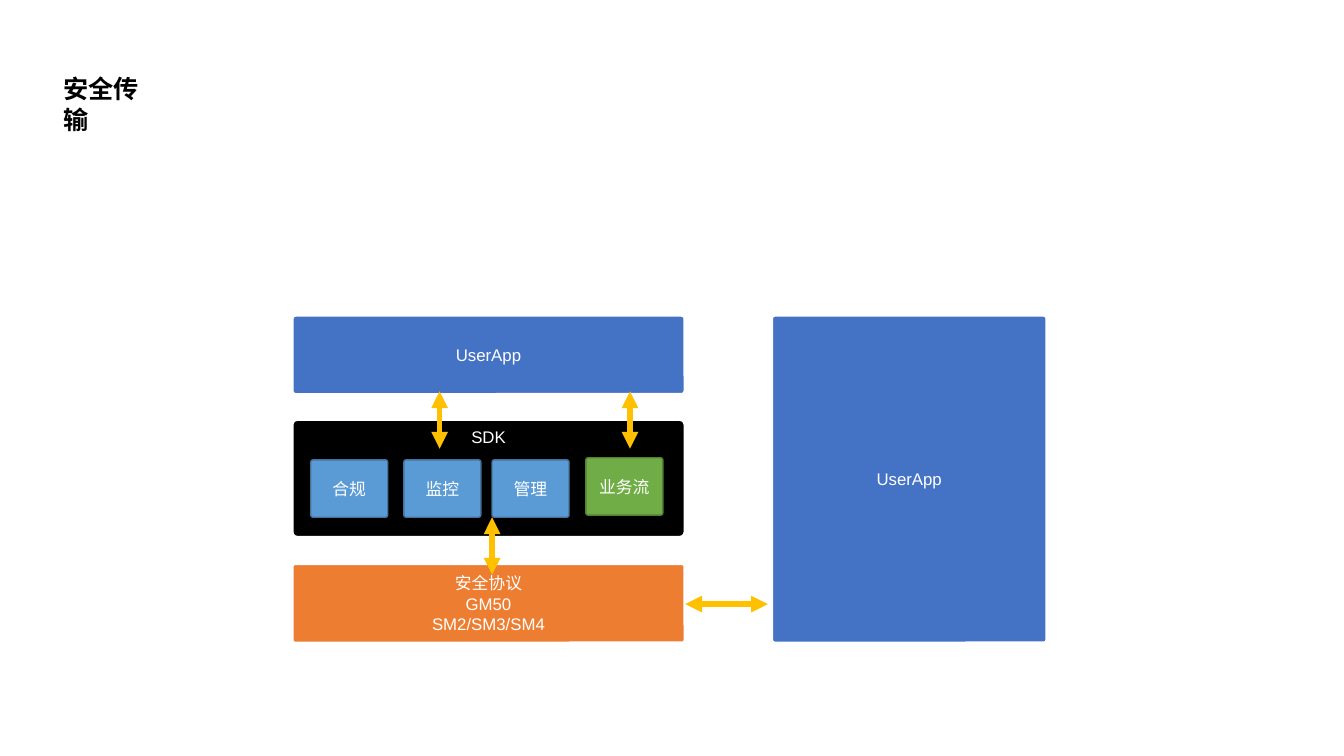
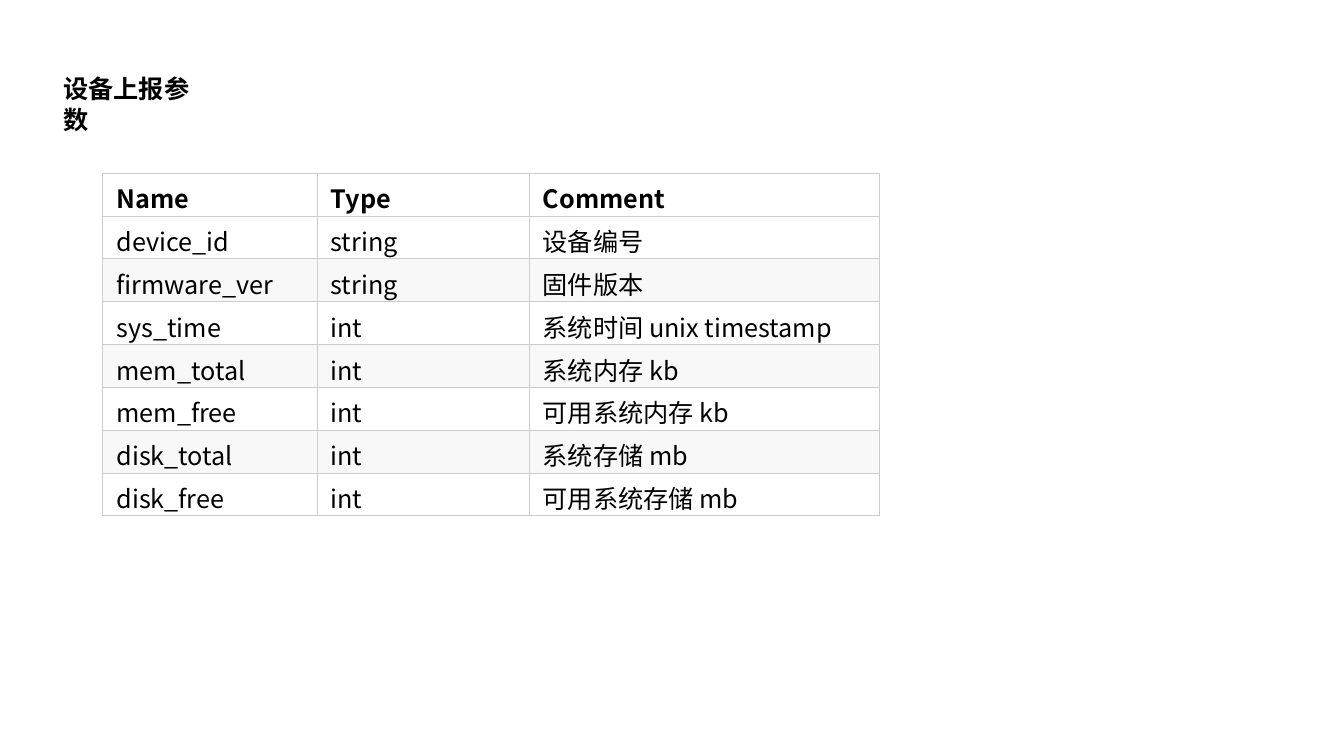
from lxml import etree
from pptx import Presentation
from pptx.dml.color import RGBColor
from pptx.enum.shapes import MSO_CONNECTOR, MSO_SHAPE
from pptx.enum.text import MSO_ANCHOR, MSO_AUTO_SIZE, PP_ALIGN
from pptx.oxml import parse_xml
from pptx.oxml.ns import nsdecls, qn
from pptx.util import Pt

ROUNDED = MSO_SHAPE.ROUNDED_RECTANGLE
STRAIGHT = MSO_CONNECTOR.STRAIGHT
TOP, MIDDLE = MSO_ANCHOR.TOP, MSO_ANCHOR.MIDDLE
LEFT, CENTER = PP_ALIGN.LEFT, PP_ALIGN.CENTER
FIT_SHAPE = MSO_AUTO_SIZE.SHAPE_TO_FIT_TEXT

WHITE = RGBColor(0xFF, 0xFF, 0xFF)
BLACK = RGBColor(0x00, 0x00, 0x00)
BLUE = RGBColor(0x44, 0x72, 0xC4)
ORANGE = RGBColor(0xED, 0x7D, 0x31)
SKY = RGBColor(0x5B, 0x9B, 0xD5)
SKY_EDGE = RGBColor(0x43, 0x73, 0x9E)
GREEN = RGBColor(0x70, 0xAD, 0x47)
GREEN_EDGE = RGBColor(0x53, 0x80, 0x35)
AMBER = RGBColor(0xFF, 0xC0, 0x00)
STRIPE = RGBColor(0xF8, 0xF8, 0xF8)
GRID = RGBColor(0xCC, 0xCC, 0xCC)

TITLE_FONT, BOX_FONT, CJK_FONT = "Roboto", "Arial", "Noto Sans CJK SC"
TITLE_SIZE, BOX_SIZE, TABLE_SIZE = 18, 12, 18
TITLE_ONLY = 5

PARAMETERS = [
    ("Name", "Type", "Comment"),
    ("device_id", "string", "设备编号"),
    ("firmware_ver", "string", "固件版本"),
    ("sys_time", "int", "系统时间 unix timestamp"),
    ("mem_total", "int", "系统内存 kb"),
    ("mem_free", "int", "可用系统内存 kb"),
    ("disk_total", "int", "系统存储 mb"),
    ("disk_free", "int", "可用系统存储 mb"),
]


class Deck:
    """Holds the shared style and the current page; lengths are in points."""

    def __init__(self):
        self.deck = Presentation()
        self.deck.slide_width, self.deck.slide_height = Pt(960), Pt(540)
        self.page = None

    def set_text(self, frame, text, name, size, color, align=LEFT, bold=False):
        """Fill a text frame, one paragraph per line of text."""
        frame.text = text
        for para in frame.paragraphs:
            para.alignment = align
            font = para.font
            font.name, font.size, font.bold = name, Pt(size), bold
            font.color.rgb = color
            latin = para._p.pPr.find(qn("a:defRPr")).find(qn("a:latin"))
            east_asian = etree.Element(qn("a:ea"), typeface=CJK_FONT)
            latin.addnext(east_asian)

    def add_page(self, title):
        self.page = self.deck.slides.add_slide(self.deck.slide_layouts[TITLE_ONLY])
        box = self.page.shapes.title
        box.left, box.top = Pt(38), Pt(49)
        box.width, box.height = Pt(TITLE_SIZE * len(title) + 14.4), Pt(29)
        frame = box.text_frame
        frame.word_wrap, frame.auto_size = False, FIT_SHAPE
        frame.vertical_anchor = TOP
        self.set_text(frame, title, TITLE_FONT, TITLE_SIZE, BLACK, bold=True)

    def add_box(self, text, left, top, width, height, fill,
                edge=WHITE, edge_width=1.5, corner=0.04, anchor=MIDDLE):
        box = self.page.shapes.add_shape(
            ROUNDED, Pt(left), Pt(top), Pt(width), Pt(height))
        box.adjustments[0] = corner
        box.shadow.inherit = False
        box.fill.solid()
        box.fill.fore_color.rgb = fill
        box.line.color.rgb, box.line.width = edge, Pt(edge_width)
        box.text_frame.word_wrap = True
        box.text_frame.vertical_anchor = anchor
        self.set_text(box.text_frame, text, BOX_FONT, BOX_SIZE, WHITE, CENTER)

    def add_double_arrow(self, x1, y1, x2, y2):
        arrow = self.page.shapes.add_connector(
            STRAIGHT, Pt(x1), Pt(y1), Pt(x2), Pt(y2))
        arrow.line.color.rgb, arrow.line.width = AMBER, Pt(4)
        line = arrow.line._get_or_add_ln()
        for end in ("a:headEnd", "a:tailEnd"):
            etree.SubElement(line, qn(end), type="triangle")
        etree.SubElement(arrow._element.spPr, qn("a:effectLst"))

    def add_grid(self, rows, left, top, widths, row_height):
        """Add a bordered table with a bold first row and striped body."""
        table = self.page.shapes.add_table(
            len(rows), len(widths), Pt(left), Pt(top),
            Pt(sum(widths)), Pt(row_height * len(rows))).table
        table.first_row = table.horz_banding = False
        for column, width in zip(table.columns, widths):
            column.width = Pt(width)
        for index, texts in enumerate(rows):
            table.rows[index].height = Pt(row_height)
            striped = index > 0 and index % 2 == 0
            for column, text in enumerate(texts):
                cell = table.cell(index, column)
                self.add_borders(cell)
                cell.fill.solid()
                cell.fill.fore_color.rgb = STRIPE if striped else WHITE
                cell.margin_left = cell.margin_right = Pt(9.75)
                cell.margin_top, cell.margin_bottom = Pt(4.5), Pt(0)
                cell.vertical_anchor = MIDDLE
                self.set_text(cell.text_frame, text, CJK_FONT, TABLE_SIZE, BLACK,
                              bold=index == 0)

    def add_borders(self, cell):
        properties = cell._tc.get_or_add_tcPr()
        for side in "LRTB":
            properties.append(parse_xml(
                f'<a:ln{side} {nsdecls("a")} w="{Pt(0.75)}"><a:solidFill>'
                f'<a:srgbClr val="{GRID}"/></a:solidFill></a:ln{side}>'))


def build_transport_page(deck):
    deck.add_page("安全传输")
    left, top, width, height = 209, 225.5, 280, 56
    deck.add_box("UserApp", left, top, width, height, BLUE)
    deck.add_box("安全协议\nGM50\nSM2/SM3/SM4", left, 403, width, height, ORANGE,
                 corner=0.03)
    deck.add_box("SDK", left, 300, width, 83.5, BLACK, anchor=TOP)
    deck.add_box("UserApp", 551.5, top, 196, 233.5, BLUE, corner=0.01)

    modules = [
        ("合规", 222, 328.5, SKY, SKY_EDGE),
        ("监控", 288.5, 328.5, SKY, SKY_EDGE),
        ("管理", 351.5, 328.5, SKY, SKY_EDGE),
        ("业务流", 418.5, 327, GREEN, GREEN_EDGE),
    ]
    for name, x, y, fill, edge in modules:
        deck.add_box(name, x, y, 55, 41, fill, edge, edge_width=1)

    for x, bottom in ((351.5, 410.5), (314, 320.5), (450, 320.5)):
        deck.add_double_arrow(x, bottom, x, bottom - 41)
    deck.add_double_arrow(489.5, 431.5, 548.5, 431.5)


def build_parameter_page(deck):
    deck.add_page("设备上报参数")
    deck.add_grid(PARAMETERS, 73.5, 123.75, (153, 151.5, 250), 30.6)


def main():
    deck = Deck()
    build_transport_page(deck)
    build_parameter_page(deck)
    deck.deck.save("out.pptx")


if __name__ == "__main__":
    main()
